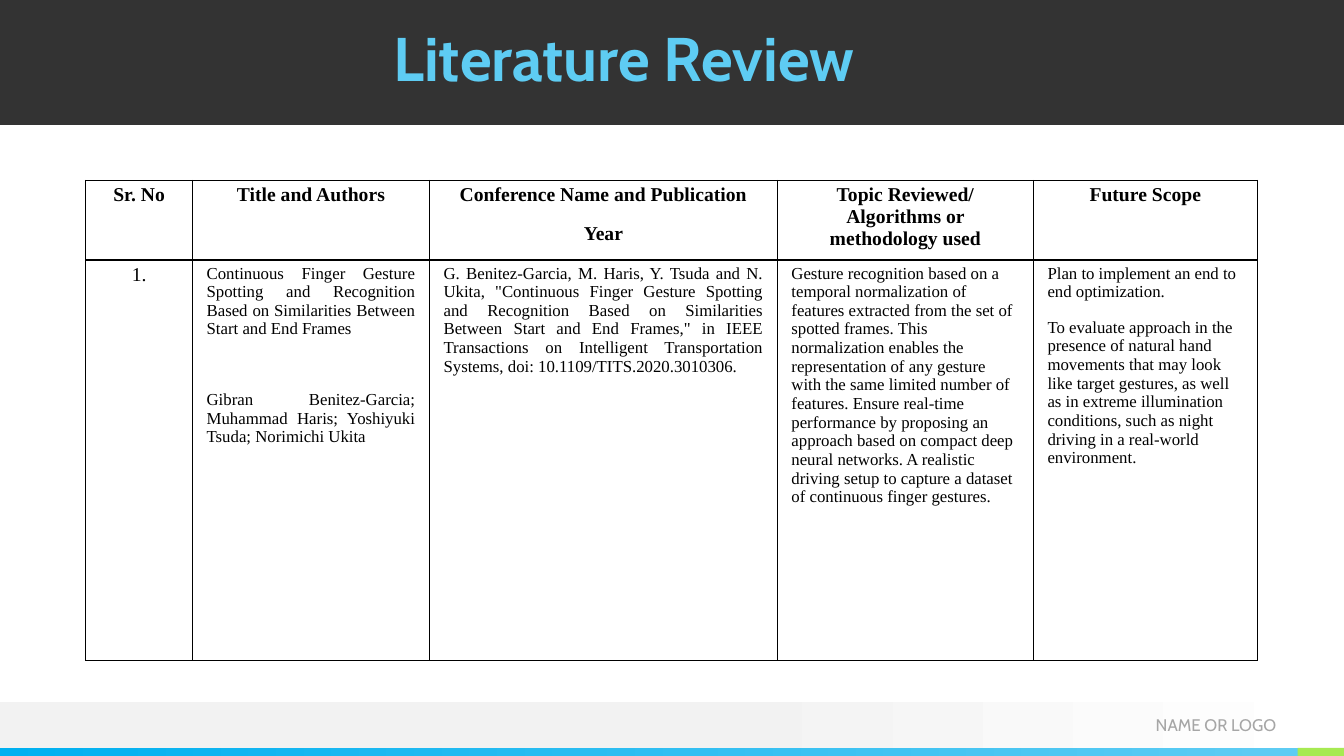
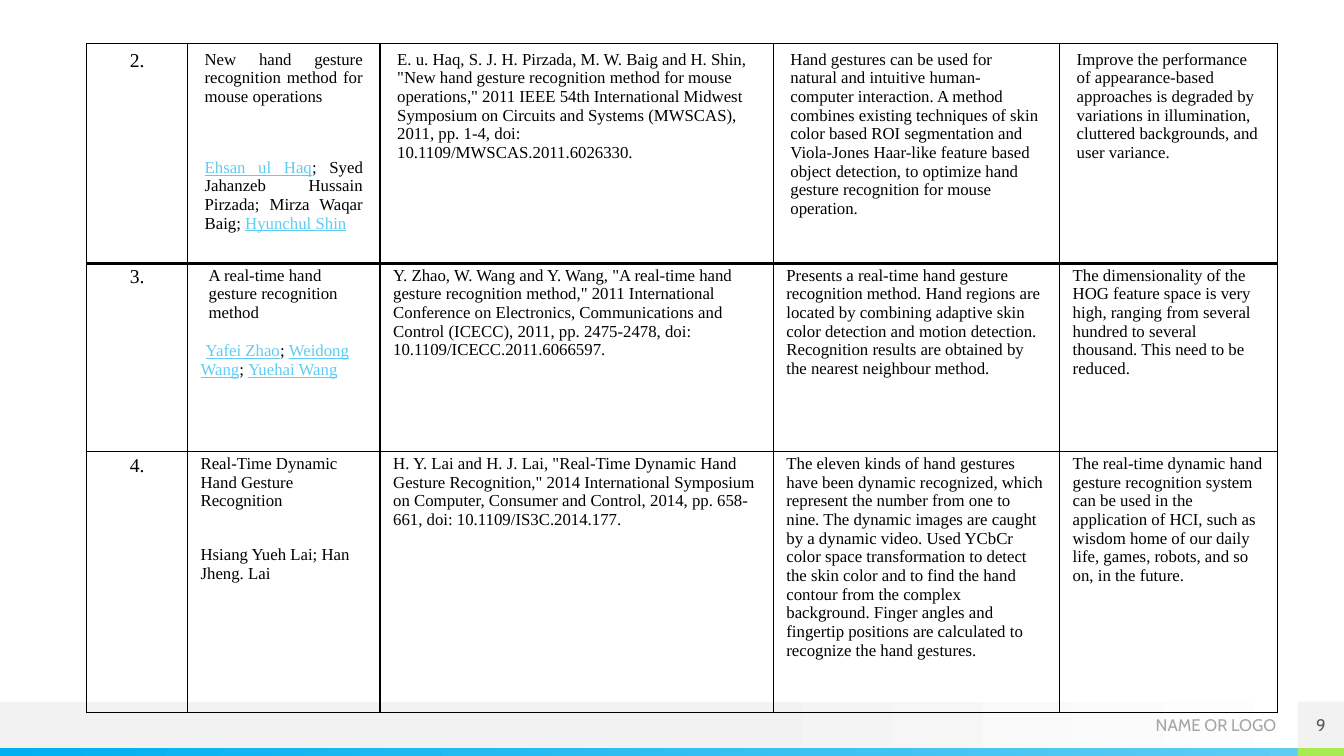
from lxml import etree
from pptx import Presentation
from pptx.dml.color import RGBColor
from pptx.enum.shapes import MSO_SHAPE
from pptx.enum.text import MSO_ANCHOR, PP_ALIGN
from pptx.oxml import parse_xml
from pptx.oxml.ns import nsdecls
from pptx.util import Inches, Pt

rgb = RGBColor.from_string
BLACK, DARK, PALE, WHITE = "000000", "333333", "F2F2F2", "FFFFFF"
BLUE, SKY, GREEN = "00B0F0", "5ECCF3", "A7EA52"
HEAD_FONT, BODY_FONT = "Cabin", "Times New Roman"
CELL_INDENT = 0.1


def add_box(s, box, colors=(), text="", color=BLACK, align=PP_ALIGN.CENTER, start=0):
    """Add a rectangle: no colour is unfilled, one is solid, two are a gradient."""
    sp = s.shapes.add_shape(MSO_SHAPE.RECTANGLE, *map(Inches, box))
    sp.shadow.inherit = False
    sp.line.fill.background()
    if not colors:
        sp.fill.background()
    elif len(colors) == 1:
        sp.fill.solid()
        sp.fill.fore_color.rgb = rgb(colors[0])
    else:
        sp.fill.gradient()
        sp.fill.gradient_angle = 0
        for stop, position, c in zip(sp.fill.gradient_stops, (start, 1), colors):
            stop.position = position
            stop.color.rgb = rgb(c)
    if text:
        tf = sp.text_frame
        tf.margin_left = tf.margin_right = tf.margin_top = tf.margin_bottom = 0
        tf.vertical_anchor = MSO_ANCHOR.MIDDLE
        tf.word_wrap = True
        p = tf.paragraphs[0]
        p.text = text
        p.alignment = align
        p.font.name, p.font.size, p.font.color.rgb = HEAD_FONT, Pt(12), rgb(color)
    return sp


def add_review_table(s, left, top, widths, inset, rows, header=False):
    """Rows are (height, justified columns, cells).

    A cell is a text or (text, gap in points, text); names between underscores
    are set in the link style.
    """
    heights = [row[0] for row in rows]
    table = s.shapes.add_table(
        len(rows), len(widths), Inches(left), Inches(top),
        Inches(sum(widths)), Inches(sum(heights))).table
    table.first_row = table.horz_banding = False
    for column, width in zip(table.columns, widths):
        column.width = Inches(width)
    for i, (height, justified, cells) in enumerate(rows):
        table.rows[i].height = Inches(height)
        is_head = header and i == 0
        for j, content in enumerate(cells):
            cell = table.cell(i, j)
            cell.margin_top = cell.margin_bottom = Inches(inset)
            cell.margin_left = cell.margin_right = Inches(inset + CELL_INDENT)
            cell.fill.background()
            tcPr = cell._tc.get_or_add_tcPr()
            for k, side in enumerate(("lnL", "lnR", "lnT", "lnB")):
                tcPr.insert(k, parse_xml(
                    f'<a:{side} {nsdecls("a")} w="12700"><a:solidFill>'
                    f'<a:srgbClr val="{BLACK}"/></a:solidFill></a:{side}>'))
            first, gap, second = (content, 0, "") if isinstance(content, str) else content
            tf = cell.text_frame
            p = tf.paragraphs[0]
            for text in filter(None, (first, second)):
                if text is second:
                    p = tf.add_paragraph()
                    p.space_before = Pt(gap)
                for n, part in enumerate(text.split("_")):
                    if part:
                        r = p.add_run()
                        r.text = part
                        if n % 2:
                            r.font.underline = True
                            r.font.color.rgb = rgb(SKY)
                p.alignment = (PP_ALIGN.CENTER if is_head or j == 0 else
                               PP_ALIGN.JUSTIFY if j in justified else PP_ALIGN.LEFT)
                p.font.name = BODY_FONT
                p.font.size = Pt(14 if is_head or j == 0 else 12)
                p.font.bold = is_head
                p.font.color.rgb = rgb(BLACK)
    return table


prs = Presentation()
prs.slide_width, prs.slide_height = Inches(13.33), Inches(7.5)

# Slide 1: title, header row and first paper
s = prs.slides.add_slide(prs.slide_layouts[5])

# The footer belongs to the master, so every slide shows it
footer = [
    add_box(s, (0, 6.96, 13.33, 0.46), (PALE, WHITE), start=0.53),
    add_box(s, (0, 7.42, 12.87, 0.08), (BLUE, SKY)),
    add_box(s, (12.87, 7.42, 0.46, 0.08), (GREEN,)),
    add_box(s, (10.42, 6.96, 2.24, 0.47), text="NAME OR LOGO", color="A6A6A6",
            align=PP_ALIGN.RIGHT),
]
for shape_id, sp in enumerate(footer, 20):
    sp.element.nvSpPr.cNvPr.id = shape_id
    prs.slide_master.shapes.element.append(sp.element)

add_review_table(s, 0.85, 1.79, (1.06, 2.35, 3.45, 2.54, 2.22), 0.04, [
    (0.79, (), (
        "Sr. No",
        "Title and Authors",
        ("Conference Name and Publication", 12, "Year"),
        "Topic Reviewed/ Algorithms or methodology used",
        "Future Scope")),
    (3.97, (1, 2), (
        "1.",
        ("Continuous Finger Gesture Spotting and Recognition Based on Similarities "
         "Between Start and End Frames", 37,
         "Gibran Benitez-Garcia; Muhammad Haris; Yoshiyuki Tsuda; Norimichi Ukita"),
        'G. Benitez-Garcia, M. Haris, Y. Tsuda and N. Ukita, "Continuous Finger Gesture '
        'Spotting and Recognition Based on Similarities Between Start and End Frames," in '
        'IEEE Transactions on Intelligent Transportation Systems, '
        'doi: 10.1109/TITS.2020.3010306.',
        "Gesture recognition based on a temporal normalization of features extracted from "
        "the set of spotted frames. This normalization enables the representation of any "
        "gesture with the same limited number of features. Ensure real-time performance by "
        "proposing an approach based on compact deep neural networks. A realistic driving "
        "setup to capture a dataset of continuous finger gestures.",
        ("Plan to implement an end to end optimization.", 12,
         "To evaluate approach in the presence of natural hand movements that may look like "
         "target gestures, as well as in extreme illumination conditions, such as night "
         "driving in a real-world environment."))),
], header=True)

add_box(s, (0, 0, 13.33, 1.24), (DARK,))
title = s.shapes.title
title.left, title.top, title.width, title.height = map(Inches, (3.8, 0.23, 7.4, 0.77))
title.text_frame.vertical_anchor = MSO_ANCHOR.TOP
p = title.text_frame.paragraphs[0]
p.text = "Literature Review"
p.alignment = PP_ALIGN.LEFT
p.line_spacing = 0.9
p.font.name, p.font.size, p.font.bold = HEAD_FONT, Pt(44), True
p.font.color.rgb = rgb(SKY)
s.shapes.element.append(title.element)  # in front of the dark band

# Slide 2: remaining papers
s = prs.slides.add_slide(prs.slide_layouts[6])
add_box(s, (12.87, 6.96, 0.46, 0.46), (PALE,), "9", "595959")
widths = (1, 1.91, 3.9, 2.84, 2.16)

add_review_table(s, 0.86, 0.43, widths, 0.07, [
    (2.19, (1,), (
        "2.",
        ("New hand gesture recognition method for mouse operations", 37,
         "_Ehsan ul Haq_; Syed Jahanzeb Hussain Pirzada; Mirza Waqar Baig; _Hyunchul Shin_"),
        'E. u. Haq, S. J. H. Pirzada, M. W. Baig and H. Shin, "New hand gesture recognition '
        'method for mouse operations," 2011 IEEE 54th International Midwest Symposium on '
        'Circuits and Systems (MWSCAS), 2011, pp. 1-4, doi: 10.1109/MWSCAS.2011.6026330.',
        "Hand gestures can be used for natural and intuitive human-computer interaction. A "
        "method combines existing techniques of skin color based ROI segmentation and "
        "Viola-Jones Haar-like feature based object detection, to optimize hand gesture "
        "recognition for mouse operation.",
        "Improve the performance of appearance-based approaches is degraded by variations "
        "in illumination, cluttered backgrounds, and user variance.")),
])

table = add_review_table(s, 0.86, 2.61, widths, 0.03, [
    (1.87, (), (
        "3.",
        ("A real-time hand gesture recognition method", 14,
         "_Yafei Zhao_; _Weidong Wang_; _Yuehai Wang_"),
        'Y. Zhao, W. Wang and Y. Wang, "A real-time hand gesture recognition method," 2011 '
        'International Conference on Electronics, Communications and Control (ICECC), 2011, '
        'pp. 2475-2478, doi: 10.1109/ICECC.2011.6066597.',
        "Presents a real-time hand gesture recognition method. Hand regions are located by "
        "combining adaptive skin color detection and motion detection. Recognition results "
        "are obtained by the nearest neighbour method.",
        "The dimensionality of the HOG feature space is very high, ranging from several "
        "hundred to several thousand. This need to be reduced.")),
    (2.59, (), (
        "4.",
        ("Real-Time Dynamic Hand Gesture Recognition", 25,
         "Hsiang Yueh Lai; Han Jheng. Lai"),
        'H. Y. Lai and H. J. Lai, "Real-Time Dynamic Hand Gesture Recognition," 2014 '
        'International Symposium on Computer, Consumer and Control, 2014, pp. 658-661, '
        'doi: 10.1109/IS3C.2014.177.',
        "The eleven kinds of hand gestures have been dynamic recognized, which represent "
        "the number from one to nine. The dynamic images are caught by a dynamic video. "
        "Used YCbCr color space transformation to detect the skin color and to find the "
        "hand contour from the complex background. Finger angles and fingertip positions "
        "are calculated to recognize the hand gestures.",
        "The real-time dynamic hand gesture recognition system can be used in the "
        "application of HCI, such as wisdom home of our daily life, games, robots, and so "
        "on, in the future.")),
])
paper, authors = table.cell(0, 1).text_frame.paragraphs
for p, attribute, indent in ((paper, "marL", 0.08), (authors, "indent", 0.05)):
    p._p.get_or_add_pPr().set(attribute, str(Inches(indent)))

prs.save("out.pptx")
